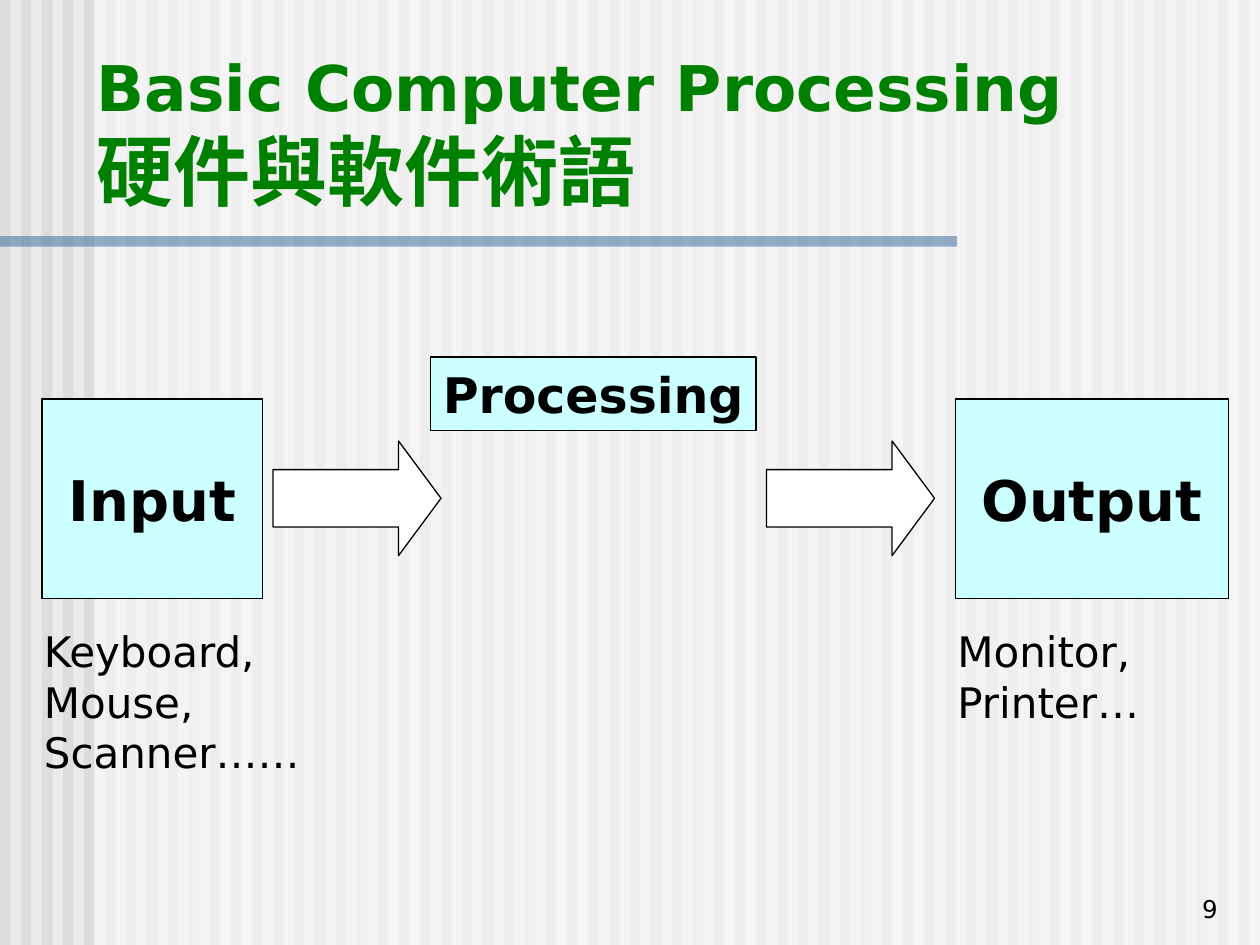
from lxml.etree import SubElement
from pptx import Presentation
from pptx.dml.color import RGBColor
from pptx.enum.shapes import MSO_SHAPE as Shape
from pptx.enum.text import MSO_ANCHOR as Anchor, MSO_AUTO_SIZE as Fit, PP_ALIGN as Align
from pptx.oxml.ns import qn
from pptx.util import Pt

FONT = "DejaVu Sans"
BACK = RGBColor(0xEA, 0xEA, 0xEA)
STRIPE = RGBColor(0xDD, 0xDD, 0xDD)
WHITE = RGBColor(0xFF, 0xFF, 0xFF)
BLUE = RGBColor(0x33, 0x66, 0x99)
GREEN = RGBColor(0x00, 0x80, 0x00)
CYAN = RGBColor(0xCC, 0xFF, 0xFF)
BLACK = RGBColor(0x00, 0x00, 0x00)

# Content: text with size, then left, top, width, height in points
WIDE, HIGH = 720, 540
TITLE = [("Basic Computer Processing", 36), ("硬件與軟件術語", 44)]
TITLE_AT = (48, 24, 654, 113)
BOXES = [
    ("Input", 32, (24, 228, 126, 114)),
    ("Processing", 28, (246, 204, 186, 42)),
    ("Output", 32, (546, 228, 156, 114)),
]
ARROWS = [(156, 252, 96, 65.5), (438, 252, 96, 65.5)]
NOTES = [
    (["Keyboard,", "Mouse,", "Scanner……"], (18, 354, 168, 94)),
    (["Monitor,", "Printer…"], (540, 354, 168, 65)),
]
PAGE, PAGE_AT = "9", (553, 495, 150, 36)
STEP, BAR = 12, 6  # stripe pitch and width


def place(at):
    return [Pt(n) for n in at]


def add_block(kind, at, fill, line=None, alpha=None):
    shape = slide.shapes.add_shape(kind, *place(at))
    shape.shadow.inherit = False
    shape.fill.solid()
    shape.fill.fore_color.rgb = fill
    if alpha:
        color = shape.fill._xPr.find(qn("a:solidFill"))[0]
        SubElement(color, qn("a:alpha"), val=str(alpha * 1000))
    if line is None:
        shape.line.fill.background()
    else:
        shape.line.color.rgb = line
        shape.line.width = Pt(0.75)
    return shape


def write(shape, lines, color=BLACK, bold=False, align=Align.LEFT,
          anchor=Anchor.TOP, wrap=True):
    frame = shape.text_frame
    frame.auto_size = Fit.NONE
    frame.word_wrap = wrap
    frame.vertical_anchor = anchor
    para = frame.paragraphs[0]
    para.alignment = align
    for i, (text, size) in enumerate(lines):
        if i:
            para.add_line_break()
        run = para.add_run()
        run.text = text
        font = run.font
        font.name, font.size, font.bold = FONT, Pt(size), bold
        font.color.rgb = color


deck = Presentation()
deck.slide_width, deck.slide_height = Pt(WIDE), Pt(HIGH)
slide = deck.slides.add_slide(deck.slide_layouts[5])
slide.background.fill.solid()
slide.background.fill.fore_color.rgb = BACK

# Backdrop: stripes, pale veil and title rule
for x in range(0, WIDE, STEP):
    add_block(Shape.RECTANGLE, (x, 0, BAR, HIGH), STRIPE)
add_block(Shape.RECTANGLE, (54, 0, WIDE - 54, HIGH), WHITE, alpha=50)
add_block(Shape.RECTANGLE, (0, 135, 547, 6), BLUE, alpha=50)

# Title, raised above the backdrop
title = slide.shapes.title
title.left, title.top, title.width, title.height = place(TITLE_AT)
write(title, TITLE, GREEN, bold=True)
slide.shapes._spTree.append(title._element)

# Flow of boxes and arrows
for text, size, at in BOXES:
    box = add_block(Shape.RECTANGLE, at, CYAN, BLACK)
    write(box, [(text, size)], bold=True, align=Align.CENTER,
          anchor=Anchor.MIDDLE, wrap=False)
for at in ARROWS:
    arrow = add_block(Shape.RIGHT_ARROW, at, WHITE, BLACK)
    arrow.adjustments[1] = 0.37

# Device lists and page number
for lines, at in NOTES:
    write(slide.shapes.add_textbox(*place(at)), [(text, 24) for text in lines])
write(slide.shapes.add_textbox(*place(PAGE_AT)), [(PAGE, 14)],
      align=Align.RIGHT, anchor=Anchor.BOTTOM)

deck.save("out.pptx")
